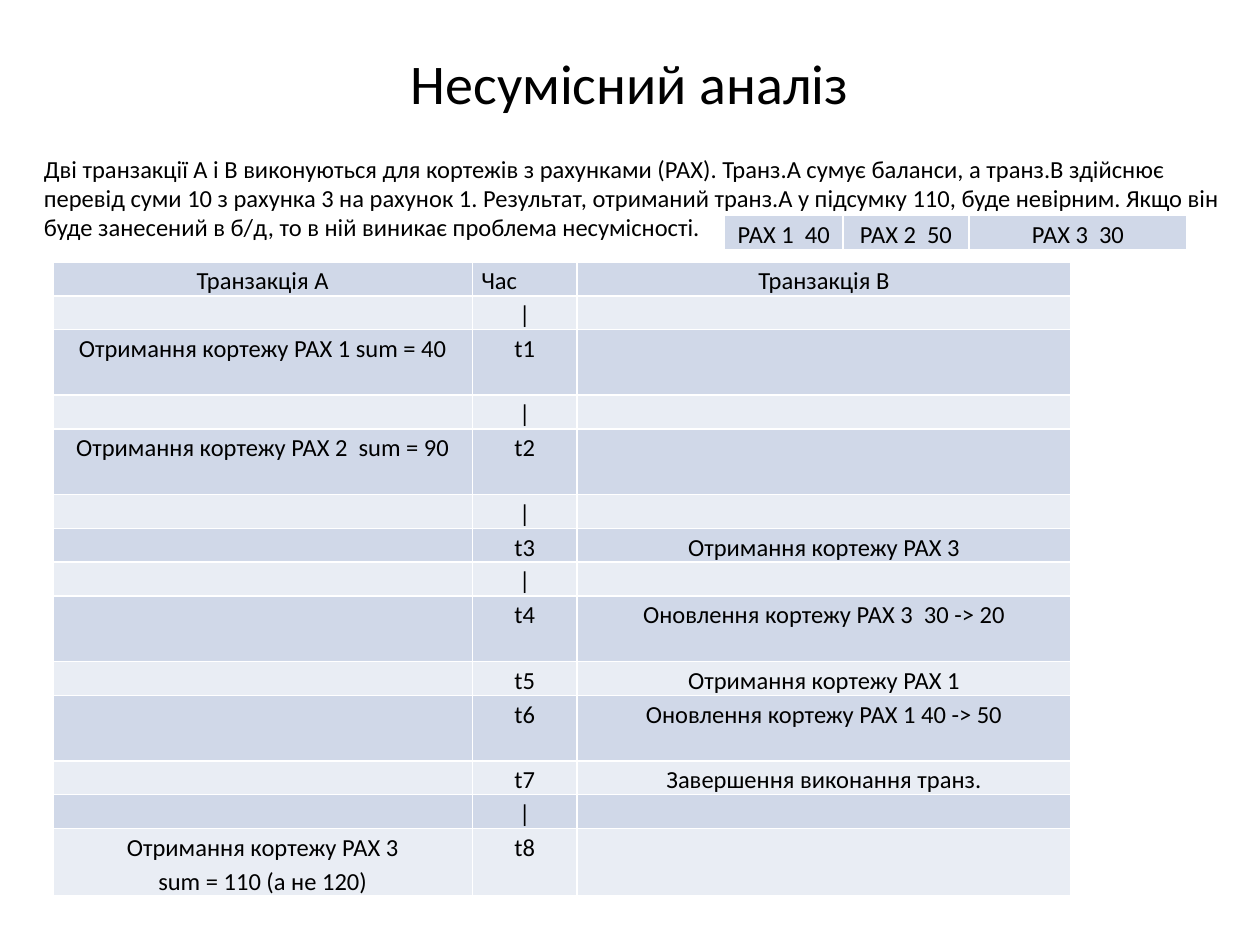
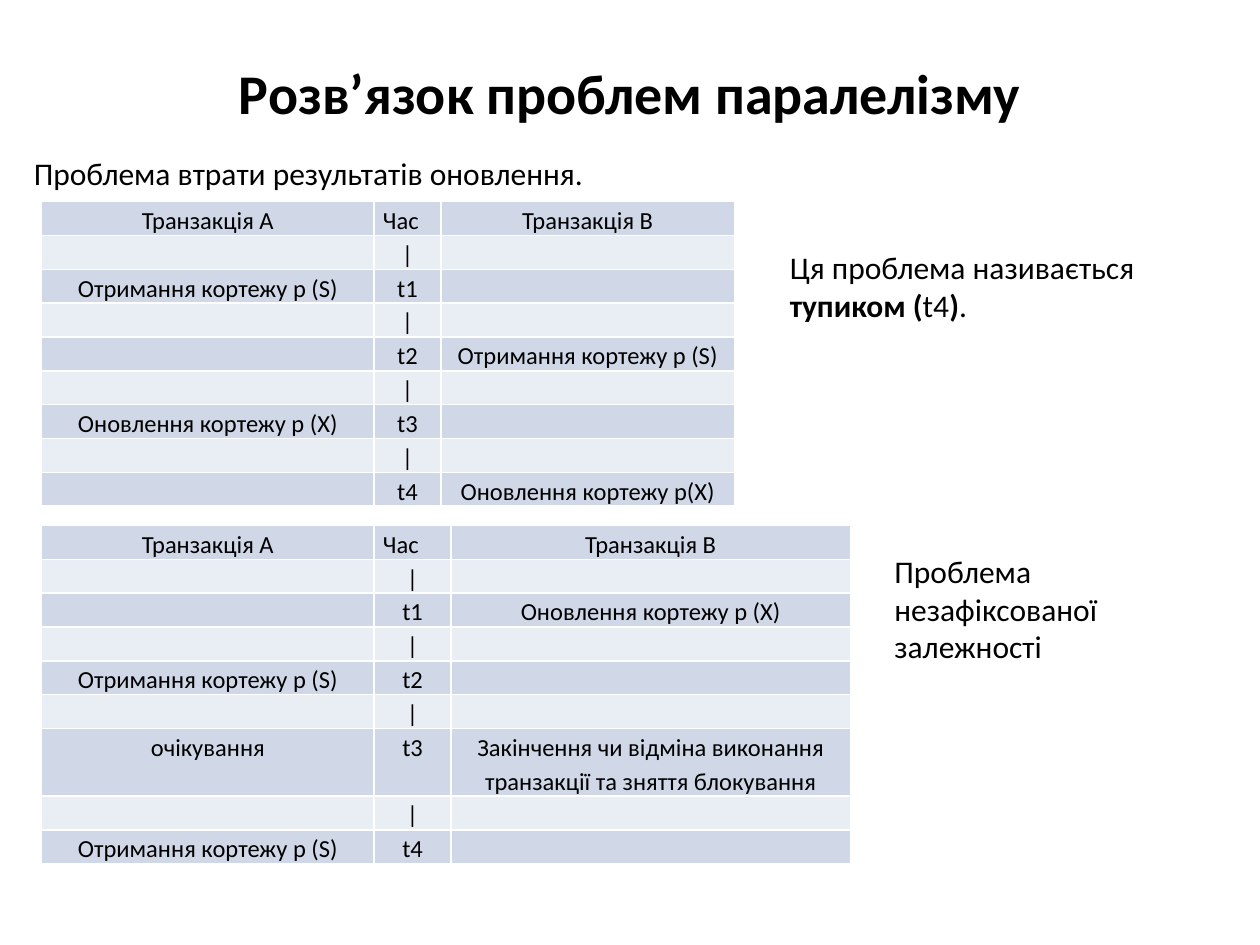
from pptx import Presentation
from pptx.dml.color import RGBColor
from pptx.enum.text import MSO_ANCHOR, PP_ALIGN
from pptx.util import Inches, Pt

LEFT, CENTER = PP_ALIGN.LEFT, PP_ALIGN.CENTER
FONT, INK = "Calibri", "000000"
BANDS = ("D0D8E8", "E9EDF4")
TITLE_SIZE, NOTE_SIZE, CELL_SIZE = 32, 18, 14
ROW_H = 0.26

HEADER = ("Транзакція А", "Час", "Транзакція В")
TICK = ("", "|", "")

ACCOUNTS = [("РАХ 1  40", "РАХ 2  50", "РАХ 3  30")]
ANALYSIS = [
    HEADER,
    TICK,
    ("Отримання кортежу РАХ 1 sum = 40", "t1", ""),
    TICK,
    ("Отримання кортежу РАХ 2  sum = 90", "t2", ""),
    TICK,
    ("", "t3", "Отримання кортежу РАХ 3"),
    TICK,
    ("", "t4", "Оновлення кортежу РАХ 3  30 -> 20"),
    ("", "t5", "Отримання кортежу РАХ 1"),
    ("", "t6", "Оновлення кортежу РАХ 1 40 -> 50"),
    ("", "t7", "Завершення виконання транз."),
    TICK,
    ("Отримання кортежу РАХ 3\nsum = 110 (а не 120)", "t8", ""),
]
LOST_UPDATE = [
    HEADER,
    TICK,
    ("Отримання кортежу р (S)", "t1", ""),
    TICK,
    ("", "t2", "Отримання кортежу р (S)"),
    TICK,
    ("Оновлення кортежу р (X)", "t3", ""),
    TICK,
    ("", "t4", "Оновлення кортежу р(X)"),
]
UNCOMMITTED = [
    HEADER,
    TICK,
    ("", "t1", "Оновлення кортежу р (X)"),
    TICK,
    ("Отримання кортежу р (S)", "t2", ""),
    TICK,
    ("очікування", "t3", "Закінчення чи відміна виконання транзакції та зняття блокування"),
    TICK,
    ("Отримання кортежу р (S)", "t4", ""),
]

# Text runs are (text, bold); tables are (left, top, column widths, rows, tall rows).
SLIDES = [
    {
        "title": "Несумісний аналіз", "bold": False, "title_height": 0.7,
        "texts": [
            ((0.25, 1.17, 9.58, 0.81), 14, [(
                "Дві транзакції А і В виконуються для кортежів з рахунками (РАХ). "
                "Транз.А сумує баланси, а транз.В здійснює перевід суми 10 з рахунка 3 "
                "на рахунок 1. Результат, отриманий транз.А у підсумку 110, буде невірним. "
                "Якщо він буде занесений в б/д, то в ній виникає проблема несумісності.", False)]),
        ],
        "tables": [
            (5.75, 1.71, (0.94, 1, 1.73), ACCOUNTS, ()),
            (0.42, 2.08, (3.33, 0.83, 3.92), ANALYSIS, (2, 4, 8, 10, 13)),
        ],
    },
    {
        "title": "Розв’язок проблем паралелізму", "bold": True, "title_height": 0.87,
        "texts": [
            ((0.17, 1.17, 9.58, 0.4), NOTE_SIZE,
             [("Проблема втрати результатів оновлення.", False)]),
            ((6.17, 1.92, 3.5, 0.71), NOTE_SIZE,
             [("Ця проблема називається ", False), ("тупиком (", True),
              ("t4", False), (")", True), (".", False)]),
            ((7, 4.33, 2.67, 1.01), NOTE_SIZE,
             [("Проблема незафіксованої залежності", False)]),
        ],
        "tables": [
            (0.33, 1.6, (2.64, 0.53, 2.33), LOST_UPDATE, ()),
            (0.33, 4.17, (2.64, 0.61, 3.17), UNCOMMITTED, (6,)),
        ],
    },
]


def rgb(value):
    return RGBColor.from_string(value)


def set_font(font, size):
    font.name, font.size = FONT, Pt(size)
    font.color.rgb = rgb(INK)


def add_title(s, text, bold, height):
    sp = s.shapes.title
    sp.left, sp.top, sp.width, sp.height = map(Inches, (0.5, 0.3, 9, height))
    sp.text_frame.text = text
    sp.text_frame.vertical_anchor = MSO_ANCHOR.MIDDLE
    p = sp.text_frame.paragraphs[0]
    p.alignment = CENTER
    set_font(p.font, TITLE_SIZE)
    p.font.bold = bold


def add_text(s, box, size, runs):
    tf = s.shapes.add_textbox(*map(Inches, box)).text_frame
    tf.word_wrap = True
    p = tf.paragraphs[0]
    set_font(p.font, size)
    for text, bold in runs:
        r = p.add_run()
        r.text = text
        r.font.bold = bold


def fill_cell(cell, text, band):
    cell.fill.solid()
    cell.fill.fore_color.rgb = rgb(band)
    cell.margin_left = cell.margin_right = Inches(0.07)
    cell.margin_top = cell.margin_bottom = 0
    cell.text = text
    for p in cell.text_frame.paragraphs:
        p.alignment = LEFT if text == "Час" else CENTER
        p.line_spacing = 1.15
        set_font(p.font, CELL_SIZE)
        if not text:  # keeps empty rows as low as filled ones
            p._p.get_or_add_endParaRPr().set("sz", str(CELL_SIZE * 100))


def add_table(s, left, top, widths, rows, tall_rows):
    heights = [ROW_H * (2 if i in tall_rows else 1) for i in range(len(rows))]
    box = map(Inches, (left, top, sum(widths), sum(heights)))
    table = s.shapes.add_table(len(rows), len(widths), *box).table
    table.first_row = False
    for column, width in zip(table.columns, widths):
        column.width = Inches(width)
    for i, (row, height) in enumerate(zip(table.rows, heights)):
        row.height = Inches(height)
        for cell, text in zip(row.cells, rows[i]):
            fill_cell(cell, text, BANDS[i % 2])


def main():
    prs = Presentation()
    prs.slide_width, prs.slide_height = Inches(10), Inches(7.5)
    title_only = prs.slide_layouts[5]
    for content in SLIDES:
        s = prs.slides.add_slide(title_only)
        add_title(s, content["title"], content["bold"], content["title_height"])
        for text in content["texts"]:
            add_text(s, *text)
        for table in content["tables"]:
            add_table(s, *table)
    prs.save("out.pptx")


if __name__ == "__main__":
    main()
